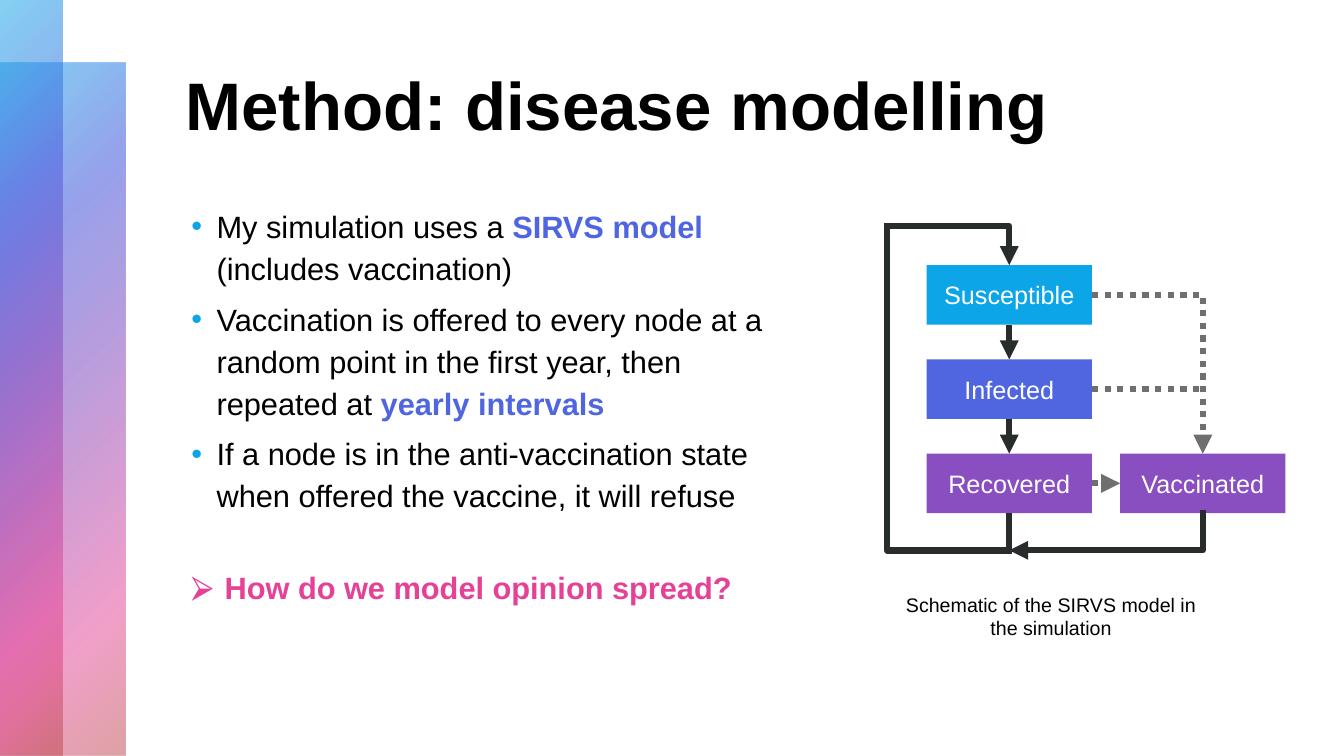
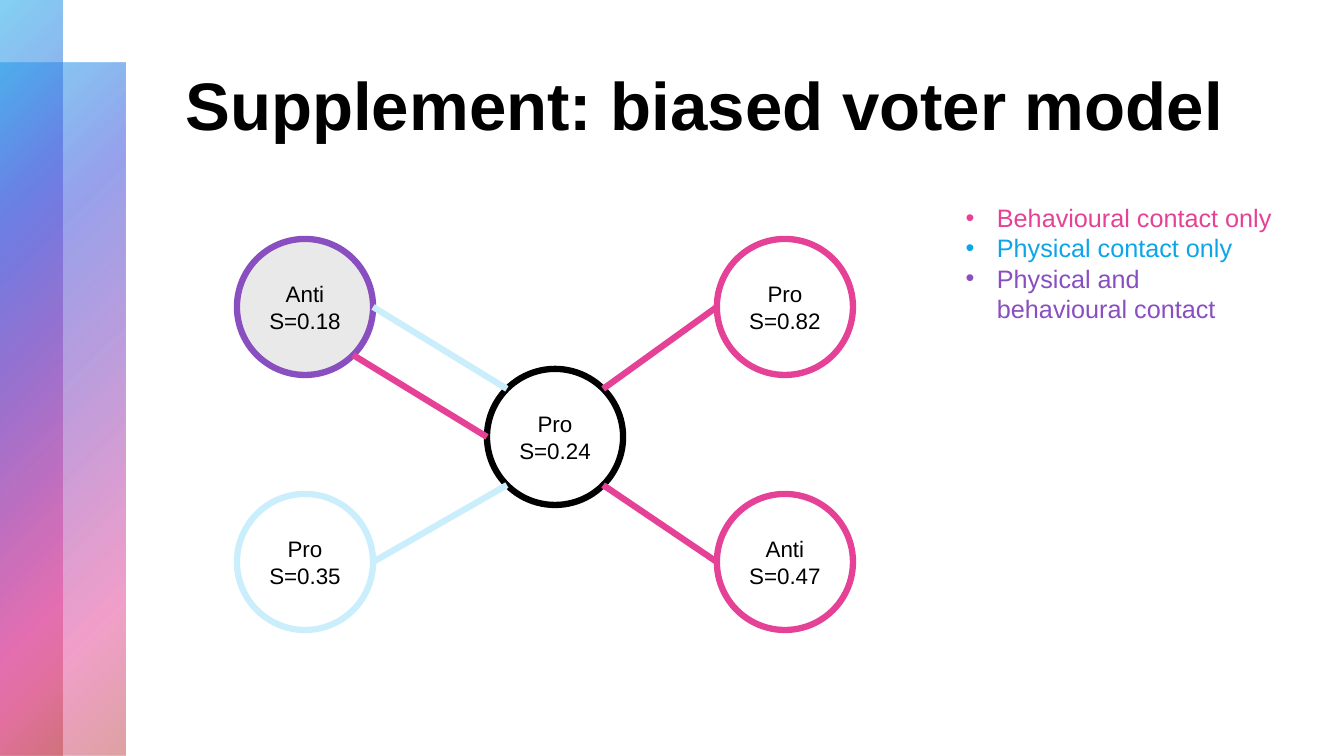
from dataclasses import dataclass
from math import cos, radians, sin

from pptx import Presentation
from pptx.dml.color import RGBColor
from pptx.enum.dml import MSO_LINE_DASH_STYLE as Dash
from pptx.enum.shapes import MSO_CONNECTOR as Link, MSO_SHAPE as Preset
from pptx.enum.text import MSO_ANCHOR as Anchor, MSO_AUTO_SIZE as AutoSize, PP_ALIGN as Align
from pptx.oxml import parse_xml
from pptx.oxml.ns import nsdecls, qn
from pptx.util import Inches, Pt
from lxml import etree


@dataclass(frozen=True)
class Theme:
    font: str = "Arial"
    black: str = "000000"
    white: str = "FFFFFF"
    blue: str = "0BA5E8"
    indigo: str = "5066E1"
    purple: str = "894EC0"
    pink: str = "E54196"
    red: str = "BE4449"
    pale_blue: str = "CBEEFC"
    pale_grey: str = "E9E9E9"
    charcoal: str = "292C2D"
    grey: str = "6D706D"
    title: int = 48
    body: int = 22
    label: int = 18
    node: int = 16
    caption: int = 14
    stroke: float = 4.5


T = Theme()

# Shared content: bands as (box, position of the purple stop)
BANDS = [((0, 0.62, 1.24, 6.88), 50), ((0, 0, 0.62, 7.5), 49)]
TITLE_BOX = (1.74, 0.5, 11.22, 1.7)

# Disease slide: bullets as (runs, bullet format, paragraph format)
DOT = {"char": "•", "color": T.blue, "left": 0.5, "hang": 0.25}
ARROW = {"char": "⮚", "color": T.pink, "left": 0.58, "hang": 0.33}
METHOD = [
    ([("My simulation uses a ", T.black), ("SIRVS model ", T.indigo),
      ("(includes vaccination)", T.black)], DOT, {}),
    ([("Vaccination is offered to every node at a random point in the first year, "
       "then repeated at ", T.black), ("yearly intervals", T.indigo)],
     DOT, {"space_before": Pt(6)}),
    ([("If a node is in the anti-vaccination state when offered the vaccine, "
       "it will refuse", T.black)], DOT, {"space_before": Pt(6)}),
    ([("How do we model opinion spread?", T.pink)], ARROW, {"space_before": Pt(35)}),
]
CAPTION = "Schematic of the SIRVS model in the simulation"
STATES = [  # name, column, row, fill
    ("Susceptible", 0, 0, T.blue),
    ("Infected", 0, 1, T.indigo),
    ("Recovered", 0, 2, T.purple),
    ("Vaccinated", 1, 2, T.purple),
]
STATE_W, STATE_H = 1.64, 0.59
STATE_LEFT, STATE_TOP, COLUMN_STEP, ROW_STEP = 9.19, 2.63, 1.92, 0.935
LOOP_LEFT, LOOP_TOP, LOOP_BOTTOM = 8.8, 2.24, 5.46
TOP, BOTTOM, RIGHT = 0, 2, 3  # connection sites of a rectangle

# Voter slide
NODE_SIZE = 1.35
VOTERS = {  # key: left, top, opinion, susceptibility, fill, outline
    "centre": (4.83, 3.66, "Pro", "S=0.24", T.white, T.black),
    "lower left": (2.35, 4.9, "Pro", "S=0.35", T.white, T.pale_blue),
    "upper left": (2.35, 2.37, "Anti", "S=0.18", T.pale_grey, T.purple),
    "upper right": (7.11, 2.37, "Pro", "S=0.82", T.white, T.pink),
    "lower right": (7.11, 4.9, "Anti", "S=0.47", T.white, T.pink),
}
CONTACTS = [  # voter, angle on its rim, voter, angle on its rim, colour
    ("centre", -45, "upper right", 180, T.pink),
    ("centre", 45, "lower right", 180, T.pink),
    ("upper left", 45, "centre", 180, T.pink),
    ("upper left", 0, "centre", -135, T.pale_blue),
    ("centre", 135, "lower left", 0, T.pale_blue),
]
LEGEND = [
    ("Behavioural contact only", T.pink),
    ("Physical contact only", T.blue),
    ("Physical and behavioural contact", T.purple),
]


def inches(values):
    return [Inches(value) for value in values]


def apply(target, formats):
    for name, value in formats.items():
        setattr(target, name, value)


def add_run(paragraph, text, size, color, bold=False):
    run = paragraph.add_run()
    run.text = text
    apply(run.font, {"name": T.font, "size": Pt(size), "bold": bold})
    run.font.color.rgb = RGBColor.from_string(color)


def paragraphs(frame, count):
    return [frame.paragraphs[0]] + [frame.add_paragraph() for _ in range(count - 1)]


def set_bullet(paragraph, char, color, left, hang):
    props = paragraph._p.get_or_add_pPr()
    props.set("marL", str(Inches(left)))
    props.set("indent", str(-Inches(hang)))
    tint = etree.SubElement(props, qn("a:buClr"))
    etree.SubElement(tint, qn("a:srgbClr"), val=color)
    etree.SubElement(props, qn("a:buFont"), typeface=T.font)
    etree.SubElement(props, qn("a:buChar"), char=char)


def add_text_box(slide, box):
    frame = slide.shapes.add_textbox(*inches(box)).text_frame
    frame.word_wrap = True
    return frame


def add_shape(slide, preset, box, fill, lines, size, color, outline=None):
    shape = slide.shapes.add_shape(preset, *inches(box))
    shape.shadow.inherit = False
    shape.fill.solid()
    shape.fill.fore_color.rgb = RGBColor.from_string(fill)
    if outline:
        shape.line.color.rgb = RGBColor.from_string(outline)
        shape.line.width = Pt(T.stroke)
    else:
        shape.line.fill.background()
    frame = shape.text_frame
    frame.vertical_anchor = Anchor.MIDDLE
    for paragraph, text in zip(paragraphs(frame, len(lines)), lines):
        paragraph.alignment = Align.CENTER
        add_run(paragraph, text, size, color)
    return shape


def add_line(slide, start, end, color, arrow=None, dotted=False, elbow=False):
    """Draw a line; an elbow runs across first, then up or down."""
    kind = Link.ELBOW if elbow else Link.STRAIGHT
    line = slide.shapes.add_connector(kind, *inches((*start, *end)))
    line.line.color.rgb = RGBColor.from_string(color)
    line.line.width = Pt(T.stroke)
    if dotted:
        line.line.dash_style = Dash.ROUND_DOT
    props = line.element.spPr
    if elbow:
        props.find(qn("a:prstGeom")).set("prst", "bentConnector2")
    if arrow:
        etree.SubElement(props.find(qn("a:ln")), qn(f"a:{arrow}"), type="triangle")
    etree.SubElement(props, qn("a:effectLst"))
    return line


def add_band(slide, box, purple_stop):
    stops = [(0, T.blue, 50), (25, T.indigo, 60), (purple_stop, T.purple, 55),
             (81, T.pink, 50), (99, T.red, 50), (100, T.red, 50)]
    stop_xml = "".join(
        f'<a:gs pos="{pos * 1000}"><a:srgbClr val="{color}">'
        f'<a:alpha val="{alpha * 1000}"/></a:srgbClr></a:gs>'
        for pos, color, alpha in stops)
    band = slide.shapes.add_shape(Preset.RECTANGLE, *inches(box))
    band.shadow.inherit = False
    band.line.fill.background()
    band.element.spPr.insert(2, parse_xml(
        f'<a:gradFill {nsdecls("a")} rotWithShape="1"><a:gsLst>{stop_xml}</a:gsLst>'
        '<a:path path="circle"><a:fillToRect r="100000" b="100000"/></a:path>'
        '</a:gradFill>'))
    return band


def put_bands_on_layout(slide):
    layout = slide.slide_layout
    for footer in list(layout.placeholders)[1:]:
        footer.element.getparent().remove(footer.element)
    for position, (box, purple_stop) in enumerate(BANDS, start=2):
        layout.shapes.element.insert(position, add_band(slide, box, purple_stop).element)


def add_slide(deck, text):
    slide = deck.slides.add_slide(deck.slide_layouts[5])
    title = slide.shapes.title
    apply(title, dict(zip(("left", "top", "width", "height"), inches(TITLE_BOX))))
    apply(title.text_frame, {"vertical_anchor": Anchor.TOP, "word_wrap": True,
                             "auto_size": AutoSize.NONE})
    heading = title.text_frame.paragraphs[0]
    apply(heading, {"alignment": Align.LEFT, "line_spacing": 1.1})
    add_run(heading, text, T.title, T.black, bold=True)
    return slide


def build_disease_slide(slide):
    # Bullets and caption
    frame = add_text_box(slide, (1.55, 1.96, 6.33, 4.71))
    for paragraph, (runs, bullet, formats) in zip(paragraphs(frame, len(METHOD)), METHOD):
        set_bullet(paragraph, **bullet)
        apply(paragraph, {"line_spacing": 1.14, **formats})
        for text, color in runs:
            add_run(paragraph, text, T.body, color, bold=color != T.black)
    caption = add_text_box(slide, (8.81, 5.83, 3.23, 0.57)).paragraphs[0]
    caption.alignment = Align.CENTER
    add_run(caption, CAPTION, T.caption, T.black)

    # States
    states = {}
    for name, column, row, fill in STATES:
        box = (STATE_LEFT + column * COLUMN_STEP, STATE_TOP + row * ROW_STEP,
               STATE_W, STATE_H)
        states[name] = add_shape(slide, Preset.RECTANGLE, box, fill, [name],
                                 T.label, T.white)

    # Arrows between states
    for source, source_site, target, target_site, dotted, elbow in [
        ("Susceptible", BOTTOM, "Infected", TOP, False, False),
        ("Infected", BOTTOM, "Recovered", TOP, False, False),
        ("Susceptible", RIGHT, "Vaccinated", TOP, True, True),
        ("Recovered", RIGHT, "Vaccinated", 1, True, False),
    ]:
        arrow = add_line(slide, (0, 0), (1, 1), T.grey if dotted else T.charcoal,
                         "tailEnd", dotted, elbow)
        arrow.begin_connect(states[source], source_site)
        arrow.end_connect(states[target], target_site)

    # Branch from Infected, and the loop back to Susceptible
    main_x = STATE_LEFT + STATE_W / 2
    vaccine_x = main_x + COLUMN_STEP
    infected_y = STATE_TOP + ROW_STEP + STATE_H / 2
    states_bottom = STATE_TOP + 2 * ROW_STEP + STATE_H
    add_line(slide, (STATE_LEFT + STATE_W, infected_y), (vaccine_x, infected_y),
             T.grey, dotted=True)
    add_line(slide, (main_x, states_bottom), (main_x, LOOP_BOTTOM), T.charcoal)
    for start, end, arrow in [
        ((main_x, LOOP_BOTTOM), (LOOP_LEFT, LOOP_TOP), None),
        ((LOOP_LEFT, LOOP_TOP), (main_x, STATE_TOP), "tailEnd"),
        ((main_x, LOOP_BOTTOM), (vaccine_x, states_bottom), "headEnd"),
    ]:
        loop = add_line(slide, start, end, T.charcoal, arrow, elbow=True)
        loop.element.spPr.find(qn("a:ln")).set("cap", "sq")


def rim_point(voter, angle):
    left, top = VOTERS[voter][:2]
    radius = NODE_SIZE / 2
    return (left + radius * (1 + cos(radians(angle))),
            top + radius * (1 + sin(radians(angle))))


def build_voter_slide(slide):
    # Voters and their contacts
    for left, top, opinion, score, fill, outline in VOTERS.values():
        add_shape(slide, Preset.OVAL, (left, top, NODE_SIZE, NODE_SIZE), fill,
                  [opinion, score], T.node, T.black, outline)
    for source, source_angle, target, target_angle, color in CONTACTS:
        add_line(slide, rim_point(source, source_angle),
                 rim_point(target, target_angle), color)

    # Legend
    frame = add_text_box(slide, (9.48, 1.96, 3.24, 1.62))
    for paragraph, (text, color) in zip(paragraphs(frame, len(LEGEND)), LEGEND):
        set_bullet(paragraph, "•", color, 0.31, 0.31)
        add_run(paragraph, text, T.label, color)


def main():
    deck = Presentation()
    deck.slide_width, deck.slide_height = inches((13.33, 7.5))
    disease = add_slide(deck, "Method: disease modelling")
    put_bands_on_layout(disease)
    build_disease_slide(disease)
    build_voter_slide(add_slide(deck, "Supplement: biased voter model"))
    deck.save("out.pptx")


if __name__ == "__main__":
    main()
